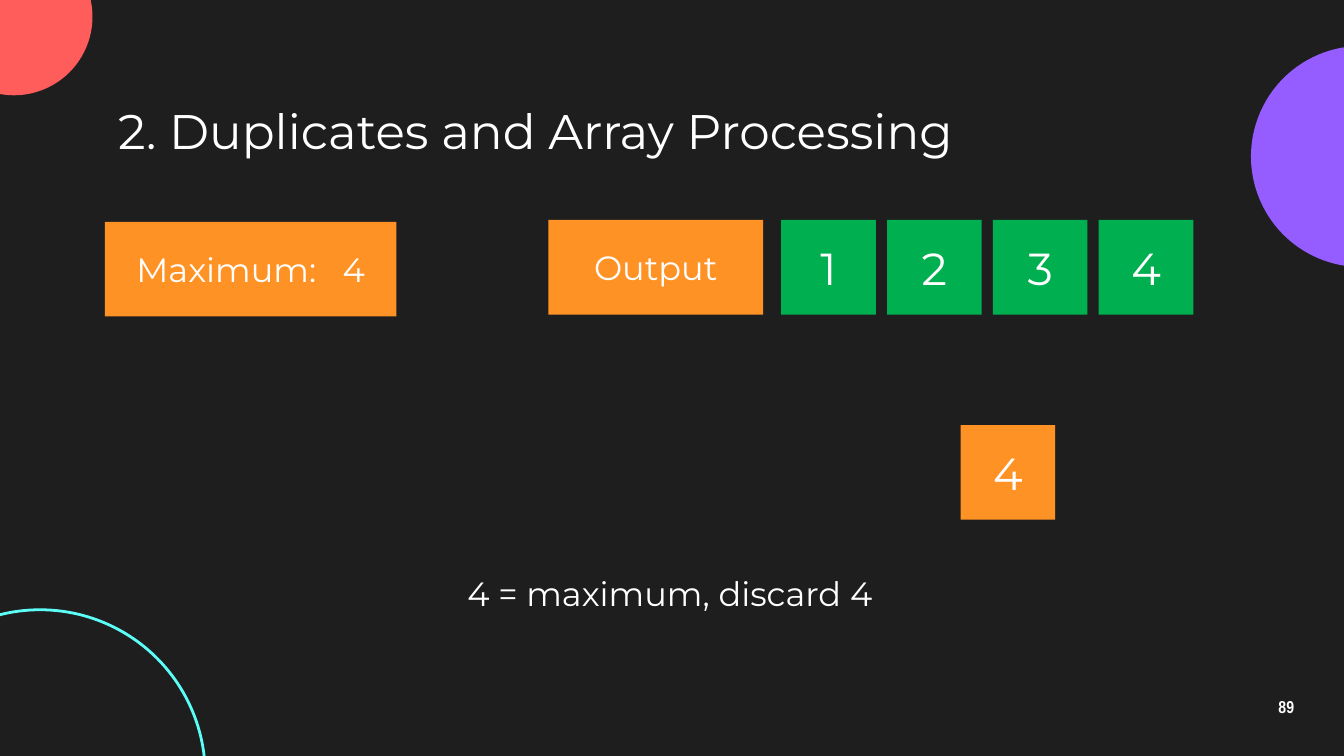
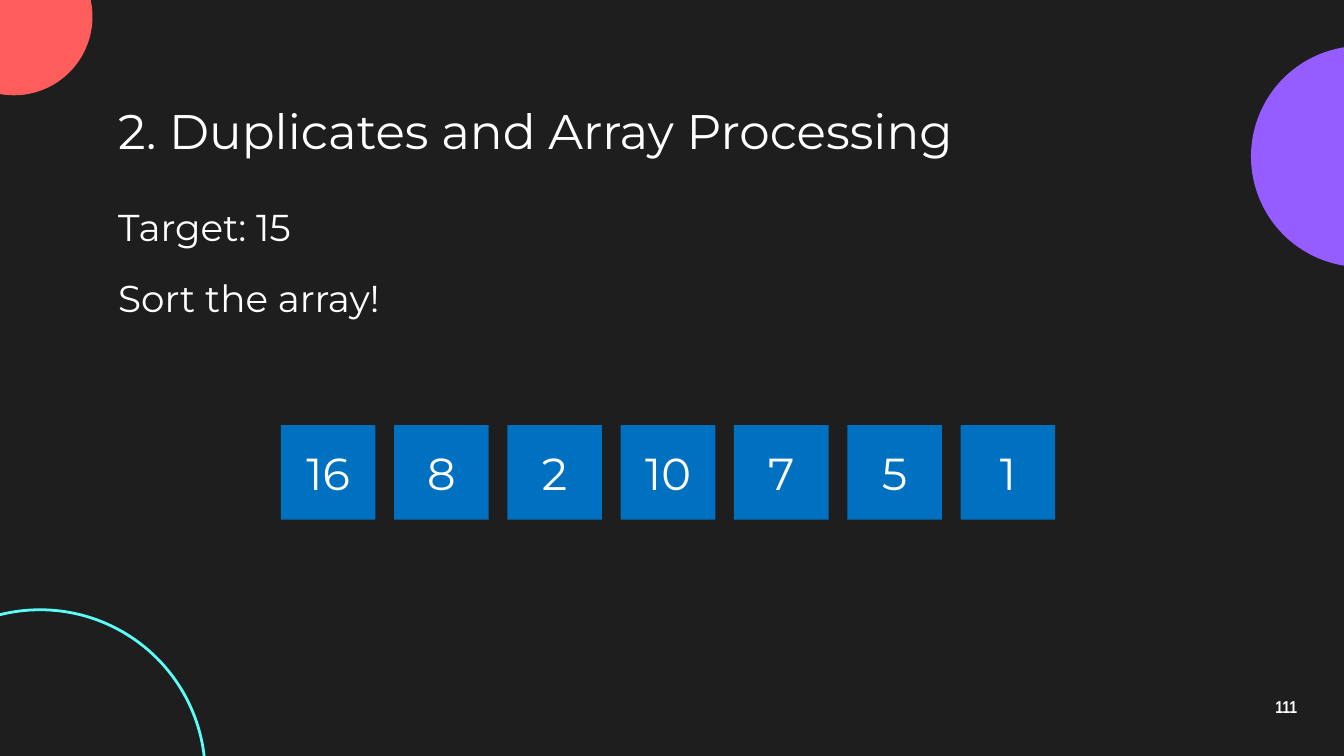
from pptx import Presentation
from pptx.dml.color import RGBColor
from pptx.enum.shapes import MSO_SHAPE
from pptx.enum.text import MSO_ANCHOR, PP_ALIGN
from pptx.util import Pt

OVAL, RECTANGLE = MSO_SHAPE.OVAL, MSO_SHAPE.RECTANGLE
TOP, MIDDLE = MSO_ANCHOR.TOP, MSO_ANCHOR.MIDDLE
LEFT, CENTER = PP_ALIGN.LEFT, PP_ALIGN.CENTER

BACKGROUND = RGBColor(0x1E, 0x1E, 0x1E)
WHITE = RGBColor(0xFF, 0xFF, 0xFF)
PURPLE = RGBColor(0x95, 0x5C, 0xFF)
CORAL = RGBColor(0xFF, 0x5C, 0x5C)
CYAN = RGBColor(0x5C, 0xFF, 0xF8)
GREEN = RGBColor(0x00, 0xB0, 0x50)
ORANGE = RGBColor(0xFF, 0x92, 0x25)
BLUE = RGBColor(0x00, 0x70, 0xC0)

TITLE = "2. Duplicates and Array Processing"
PAGE_NUMBERS = ["89", "111"]
MARGIN = 56.2
CELL = 50.7
ARRAY_LEFT, ARRAY_TOP, ARRAY_PITCH = 150.4, 227.7, 60.7
OUTPUT_LEFT, OUTPUT_TOP, OUTPUT_PITCH = 418.5, 117.8, 56.7


def add_preset(slide, kind, left, top, width, height, fill=None, line=None):
    """Add a shadowless preset shape; leave out fill or line for none."""
    shape = slide.shapes.add_shape(kind, Pt(left), Pt(top), Pt(width), Pt(height))
    shape.shadow.inherit = False
    if fill is None:
        shape.fill.background()
    else:
        shape.fill.solid()
        shape.fill.fore_color.rgb = fill
    if line is None:
        shape.line.fill.background()
    else:
        shape.line.color.rgb = line
        shape.line.width = Pt(1.5)
    return shape


def write(shape, text, size=24, font="Montserrat", bold=False, align=CENTER,
          anchor=MIDDLE, inset=3.6, line_spacing=None, first_gap=None):
    """Fill a shape with one paragraph; first_gap widens its first space, in points."""
    frame = shape.text_frame
    frame.word_wrap = True
    frame.vertical_anchor = anchor
    frame.margin_top = frame.margin_bottom = Pt(inset)
    paragraph = frame.paragraphs[0]
    paragraph.alignment = align
    paragraph.line_spacing = line_spacing
    for piece in text.partition(" ") if first_gap else [text]:
        run = paragraph.add_run()
        run.text = piece
        run.font.size = Pt(size)
        run.font.name = font
        run.font.bold = bold
        run.font.color.rgb = WHITE
        if piece == " ":
            run.font.fill.solid()
            run.font.color.rgb = WHITE
            run.font._element.set("spc", str(round(first_gap * 100)))


presentation = Presentation()
presentation.slide_width, presentation.slide_height = Pt(720), Pt(405)

# Shared background, circles, page number and title
for page_number in PAGE_NUMBERS:
    slide = presentation.slides.add_slide(presentation.slide_layouts[6])
    slide.background.fill.solid()
    slide.background.fill.fore_color.rgb = BACKGROUND
    for left, top, diameter, fill, line in [
        (670.2, 24.6, 118.5, PURPLE, None),
        (-34.6, -33.1, 84.2, CORAL, None),
        (-67, 326.7, 177, None, CYAN),
    ]:
        add_preset(slide, OVAL, left, top, diameter, diameter, fill, line)
    number_box = slide.shapes.add_textbox(Pt(667.5), Pt(367), Pt(43.2), Pt(24.5))
    write(number_box, page_number, size=9.2, font="Arial Narrow", bold=True,
          inset=7.2, line_spacing=0.9)
    title_box = slide.shapes.add_textbox(Pt(MARGIN), Pt(51.1), Pt(607.7), Pt(36.7))
    write(title_box, TITLE, size=26, align=LEFT, inset=7.2)

output_slide, sort_slide = presentation.slides

# Output so far, and the element being compared with the maximum
maximum_box = add_preset(output_slide, RECTANGLE, MARGIN, 118.8, 156.2, CELL, ORANGE)
write(maximum_box, "Maximum: 4", size=18, first_gap=9.4)
output_label = add_preset(output_slide, RECTANGLE, 293.8, OUTPUT_TOP, 115, CELL, ORANGE)
write(output_label, "Output", size=18)
for index, value in enumerate(["1", "2", "3", "4"]):
    cell = add_preset(output_slide, RECTANGLE, OUTPUT_LEFT + index * OUTPUT_PITCH,
                      OUTPUT_TOP, CELL, CELL, GREEN)
    write(cell, value)
current_cell = add_preset(output_slide, RECTANGLE, ARRAY_LEFT + 6 * ARRAY_PITCH,
                          ARRAY_TOP, CELL, CELL, ORANGE)
write(current_cell, "4")
decision_box = output_slide.shapes.add_textbox(Pt(172.8), Pt(303.3), Pt(372.2), Pt(29))
write(decision_box, "4 = maximum, discard 4", size=18, anchor=TOP)

# Unsorted array
for index, value in enumerate(["16", "8", "2", "10", "7", "5", "1"]):
    cell = add_preset(sort_slide, RECTANGLE, ARRAY_LEFT + index * ARRAY_PITCH,
                      ARRAY_TOP, CELL, CELL, BLUE)
    write(cell, value)
for top, text in [(102.2, "Target: 15"), (140.4, "Sort the array!")]:
    text_box = sort_slide.shapes.add_textbox(Pt(MARGIN), Pt(top), Pt(575.3), Pt(36.7))
    write(text_box, text, size=20, align=LEFT, anchor=TOP, inset=7.2)

presentation.save("out.pptx")
